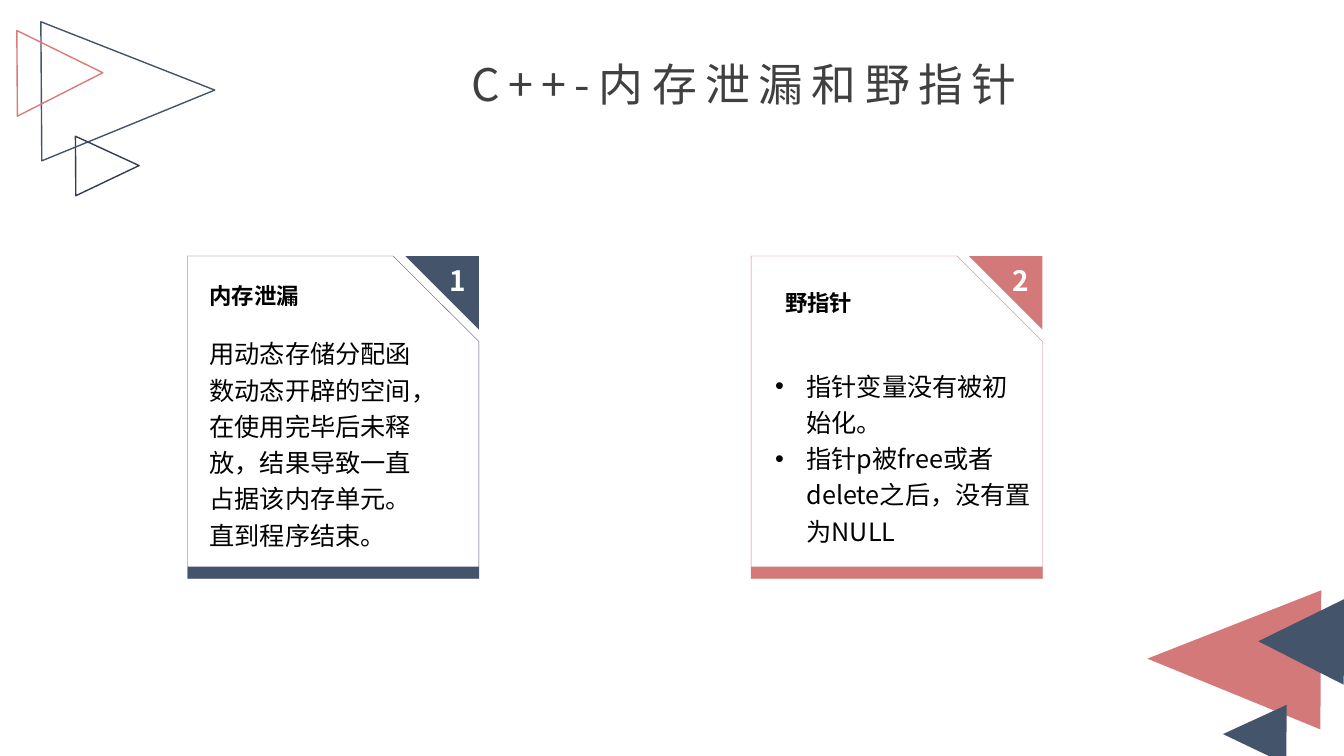
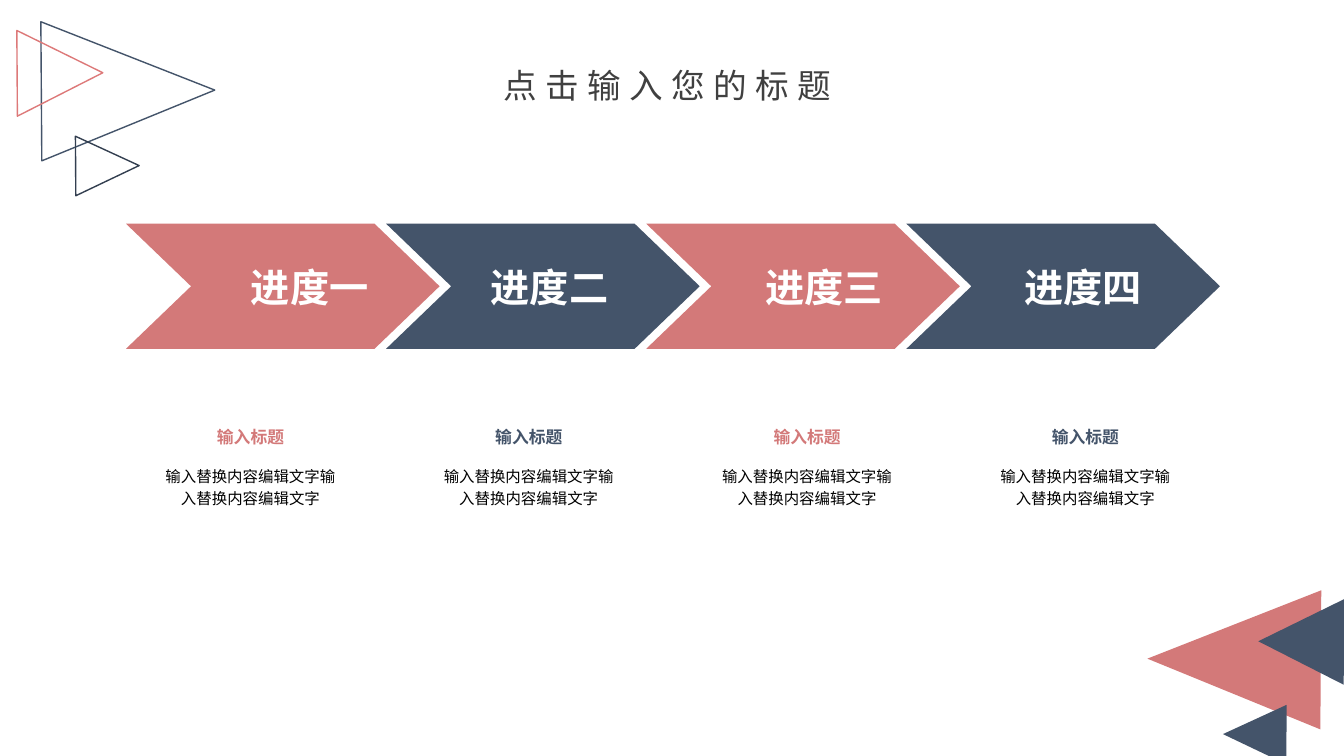
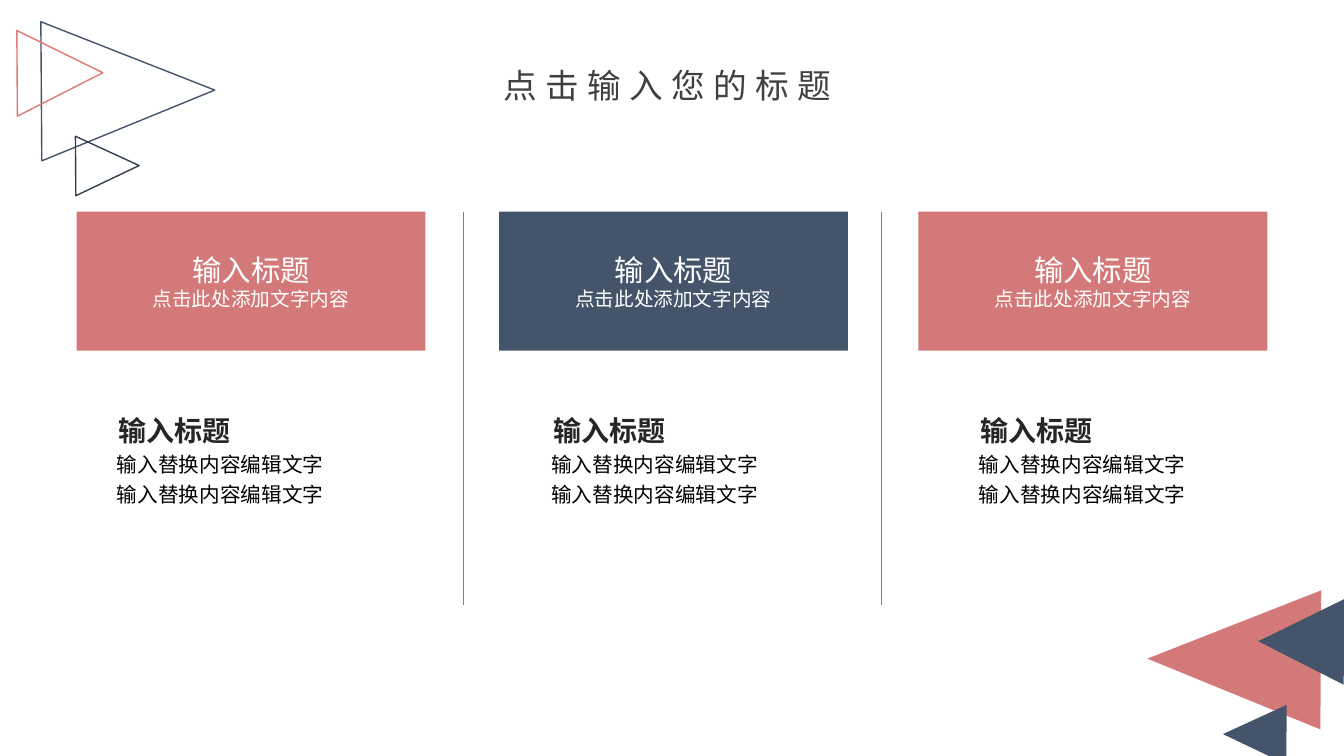
from lxml import etree
from pptx import Presentation
from pptx import util as u
from pptx.dml.color import RGBColor
from pptx.enum import lang, shapes, text
from pptx.oxml.ns import qn

ROSE, NAVY, WHITE, BLACK = "D37979", "44546A", "FFFFFF", "000000"
SANS, SANS_JP = "Noto Sans CJK SC", "Noto Sans CJK JP"
LEFT, CENTER = text.PP_ALIGN.LEFT, text.PP_ALIGN.CENTER
RIGHT, JUSTIFY = text.PP_ALIGN.RIGHT, text.PP_ALIGN.JUSTIFY
TOP, MIDDLE = text.MSO_ANCHOR.TOP, text.MSO_ANCHOR.MIDDLE
PRESET = shapes.MSO_SHAPE


def paint(shape, fill=None, line=None, weight=1):
    """Give a shape its fill and outline, without shadow."""
    shape.shadow.inherit = False
    for target, colour in ((shape.fill, fill), (shape.line.fill, line)):
        if colour:
            target.solid()
            target.fore_color.rgb = RGBColor.from_string(colour)
        else:
            target.background()
    if line:
        shape.line.width = u.Pt(weight)
    return shape


def write(shape, words, size, colour=BLACK, bold=False, align=LEFT, anchor=TOP,
          insets=(0.1, 0.05), leading=None, font=SANS, tracking=0, bullet=False):
    """Add one paragraph to a shape."""
    frame = shape.text_frame
    frame.word_wrap = True
    frame.vertical_anchor = anchor
    frame.margin_left = frame.margin_right = u.Inches(insets[0])
    frame.margin_top = frame.margin_bottom = u.Inches(insets[1])
    paragraph = frame.paragraphs[0]
    if paragraph.runs:
        paragraph = frame.add_paragraph()
    paragraph.alignment = align
    if leading:
        paragraph.line_spacing = leading
    if bullet:
        props = paragraph._p.get_or_add_pPr()
        props.set("marL", str(u.Inches(0.31)))
        props.set("indent", str(-u.Inches(0.31)))
        etree.SubElement(props, qn("a:buFont")).set("typeface", "Arial")
        etree.SubElement(props, qn("a:buChar")).set("char", "•")
    run = paragraph.add_run()
    run.text = words
    run.font.size = u.Pt(size)
    run.font.bold = bold
    run.font.name = font
    run.font.language_id = lang.MSO_LANGUAGE_ID.SIMPLIFIED_CHINESE
    run.font.color.rgb = RGBColor.from_string(colour)
    run_props = run._r.get_or_add_rPr()
    etree.SubElement(run_props, qn("a:ea")).set("typeface", font)
    if tracking:
        run_props.set("spc", str(tracking * 100))


deck = Presentation()
deck.slide_width, deck.slide_height = u.Inches(13.33), u.Inches(7.5)
layout = deck.slide_layouts[6]
for placeholder in list(layout.placeholders):
    layout.shapes.element.remove(placeholder.element)

# Slides and their titles
titles = [
    ("C++-内存泄漏和野指针", 32, (4.41, 0.56, 5.94, 0.54)),
    ("点击输入您的标题", 24, (4.57, 0.64, 4.09, 0.4)),
    ("点击输入您的标题", 24, (4.57, 0.64, 4.09, 0.4)),
]
for words, size, box in titles:
    slide = deck.slides.add_slide(layout)
    title = slide.shapes.add_textbox(*map(u.Inches, box))
    write(title, words, size, "404040", align=CENTER, anchor=MIDDLE,
          insets=(0, 0), tracking=6)
leaks, progress, columns = deck.slides

# Corner triangles, shared through the layout
corner_triangles = [
    ((11.55, 5.68, 1.38, 1.72), 270.4, ROSE, None),
    ((12.15, 6.97, 0.59, 0.63), 270.4, NAVY, None),
    ((12.48, 5.94, 0.85, 0.85), 270.4, NAVY, None),
    ((0.58, 0.04, 1.38, 1.72), 89.6, None, NAVY),
    ((0.77, 1.33, 0.59, 0.63), 89.6, None, "333F50"),
    ((0.17, 0.3, 0.85, 0.85), 89.6, None, "DD7979"),
]
triangles = []
for box, angle, fill, line in corner_triangles:
    triangle = leaks.shapes.add_shape(PRESET.ISOSCELES_TRIANGLE, *map(u.Inches, box))
    triangle.rotation = angle
    triangles.append(paint(triangle, fill, line))
for triangle in triangles:
    layout.shapes.element.append(triangle.element)

# Slide 1: two numbered cards
card_top, card_width, card_height, corner = 2.54, 2.89, 3.2, 0.73
cards = [
    ("1", NAVY, 1.86, "内存泄漏", (1.98, 2.75), (1.98, 3.25, 2.33, 2.25), False,
     ["用动态存储分配函数动态开辟的空间，在使用完毕后未释放，结果导致一直占据该内存单元。直到程序结束。"]),
    ("2", ROSE, 7.45, "野指针", (7.69, 2.82), (7.59, 3.57, 2.75, 1.89), True,
     ["指针变量没有被初始化。", "指针p被free或者delete之后，没有置为NULL"]),
]
for number, colour, left, heading, heading_at, body_box, bullet, body_lines in cards:
    card = leaks.shapes.add_shape(
        PRESET.SNIP_1_RECTANGLE, *map(u.Inches, (left, card_top, card_width, card_height)))
    card.adjustments[0] = 0.294
    paint(card, WHITE, colour, 0.25)
    base = leaks.shapes.add_shape(
        PRESET.RECTANGLE, *map(u.Inches, (left, 5.62, card_width, 0.12)))
    paint(base, colour)

    right = left + card_width
    outline = leaks.shapes.build_freeform(u.Inches(right), u.Inches(card_top))
    outline.add_line_segments([
        (u.Inches(right - corner), u.Inches(card_top)),
        (u.Inches(right), u.Inches(card_top + corner)),
    ])
    flap = paint(outline.convert_to_shape(), colour)
    write(flap, number, 20, WHITE, True, RIGHT, insets=(0.13, 0.07))

    body = leaks.shapes.add_textbox(*map(u.Inches, body_box))
    for words in body_lines:
        write(body, words, 18, leading=1.2, font=SANS_JP, bullet=bullet)
    label = leaks.shapes.add_textbox(*map(u.Inches, (*heading_at, 1.67, 0.37)))
    write(label, heading, 16, bold=True)

# Slide 2: four steps with captions
steps = [("进度一", 2.39, ROSE), ("进度二", 4.77, NAVY),
         ("进度三", 7.49, ROSE), ("进度四", 10.06, NAVY)]
for i, (step, step_left, colour) in enumerate(steps):
    arrow = progress.shapes.add_shape(
        PRESET.CHEVRON, *map(u.Inches, (1.25 + 2.58 * i, 2.22, 3.11, 1.24)))
    arrow.adjustments[0] = 0.52
    paint(arrow, colour)
    name = progress.shapes.add_textbox(*map(u.Inches, (step_left, 2.56, 1.44, 0.57)))
    write(name, step, 28, WHITE, True, JUSTIFY)

    caption_left = 1.52 + 2.76 * i
    caption = progress.shapes.add_textbox(
        *map(u.Inches, (caption_left, 4.55, 1.93, 0.53)))
    write(caption, "输入替换内容编辑文字输入替换内容编辑文字", 11, align=CENTER, leading=1.2)
    heading = progress.shapes.add_textbox(
        *map(u.Inches, (caption_left + 0.27, 4.18, 1.39, 0.3)))
    write(heading, "输入标题", 12, colour, True, CENTER)

# Slide 3: dividers between three columns
for x in (4.59, 8.74):
    divider = columns.shapes.add_connector(
        shapes.MSO_CONNECTOR.STRAIGHT, *map(u.Inches, (x, 2.1, x, 6)))
    divider.line.color.rgb = RGBColor.from_string("808080")
    divider.line.width = u.Pt(0.25)
    etree.SubElement(divider.element.spPr, qn("a:effectLst"))

# Slide 3: banners and the text below them
for banner_left, text_left, colour in ((0.76, 1.06, ROSE), (4.95, 5.37, NAVY),
                                       (9.11, 9.61, ROSE)):
    banner = columns.shapes.add_shape(
        PRESET.RECTANGLE, *map(u.Inches, (banner_left, 2.1, 3.46, 1.38)))
    paint(banner, colour)
    for words, size in (("输入标题", 21), ("点击此处添加文字内容", 14)):
        write(banner, words, size, WHITE, align=CENTER, anchor=MIDDLE)

    body = columns.shapes.add_textbox(*map(u.Inches, (text_left, 4.39, 2.36, 0.67)))
    write(body, "输入替换内容编辑文字输入替换内容编辑文字", 14.7, leading=1.2)
    heading = columns.shapes.add_textbox(
        *map(u.Inches, (text_left + 0.02, 4.05, 2.46, 0.44)))
    write(heading, "输入标题", 20, "262626", True)

deck.save("out.pptx")
